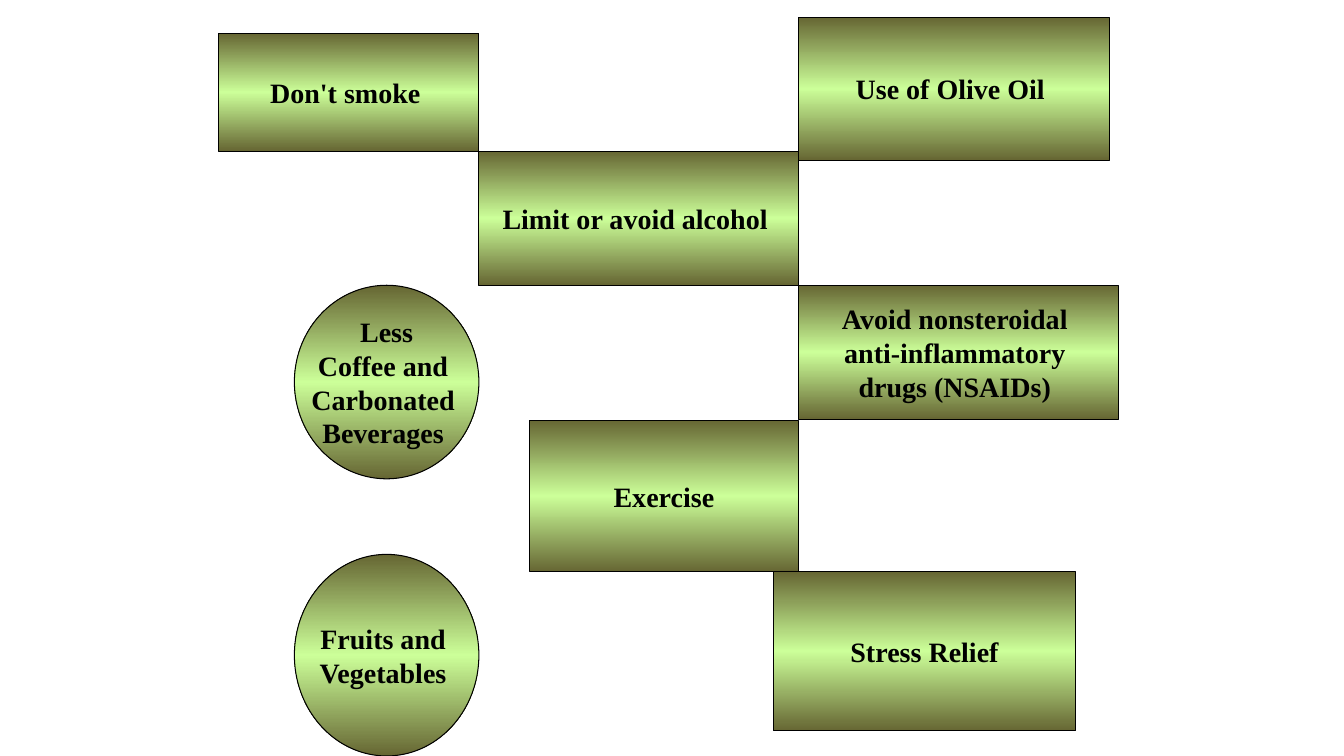
from copy import deepcopy

from pptx import Presentation
from pptx.dml.color import RGBColor
from pptx.enum.shapes import MSO_SHAPE as Shape
from pptx.enum.text import MSO_ANCHOR as Anchor, PP_ALIGN as Align
from pptx.util import Inches, Pt

COLORS = {"edge": "666633", "glow": "CCFF99", "ink": "000000"}
GRADIENT = [(0, "edge"), (0.5, "glow"), (1, "edge")]
FONT = {"name": "Times New Roman", "size": Pt(20), "bold": True}
FRAME = {"word_wrap": False, "vertical_anchor": Anchor.MIDDLE}

TIPS = [
    (Shape.RECTANGLE, (2.17, 0.33, 2.58, 1.17), ["Don't smoke "]),
    (Shape.RECTANGLE, (4.75, 1.5, 3.17, 1.33), ["Limit or avoid alcohol "]),
    (Shape.RECTANGLE, (7.92, 2.83, 3.17, 1.33),
     ["Avoid nonsteroidal ", "anti-inflammatory ", "drugs (NSAIDs) "]),
    (Shape.OVAL, (2.92, 5.5, 1.83, 2), ["Fruits and ", "Vegetables "]),
    (Shape.OVAL, (2.92, 2.83, 1.83, 1.92),
     ["Less", "Coffee and ", "Carbonated ", "Beverages "]),
    (Shape.RECTANGLE, (7.92, 0.17, 3.08, 1.42), ["Use of Olive Oil "]),
    (Shape.RECTANGLE, (5.25, 4.17, 2.67, 1.5), ["Exercise"]),
    (Shape.RECTANGLE, (7.67, 5.67, 3, 1.58), ["Stress Relief"]),
]


def color(name):
    return RGBColor.from_string(COLORS[name])


def apply(target, values):
    for name, value in values.items():
        setattr(target, name, value)


def fill_gradient(shape):
    shape.fill.gradient()
    shape.fill.gradient_angle = 270
    stop_list = shape.element.spPr.xpath("./a:gradFill/a:gsLst")[0]
    stop_list.insert(1, deepcopy(stop_list[0]))
    for stop, (position, name) in zip(shape.fill.gradient_stops, GRADIENT):
        stop.position = position
        stop.color.rgb = color(name)


def write_lines(frame, lines):
    apply(frame, FRAME)
    for index, line in enumerate(lines):
        para = frame.add_paragraph() if index else frame.paragraphs[0]
        para.alignment = Align.CENTER
        span = para.add_run()
        span.text = line
        apply(span.font, FONT)
        span.font.color.rgb = color("ink")


def add_tip(page, kind, place, lines):
    box = page.shapes.add_shape(kind, *map(Inches, place))
    box.shadow.inherit = False
    fill_gradient(box)
    box.line.color.rgb = color("ink")
    box.line.width = Pt(0.75)
    write_lines(box.text_frame, lines)


def main():
    deck = Presentation()
    deck.slide_width, deck.slide_height = Inches(13.33), Inches(7.5)
    page = deck.slides.add_slide(deck.slide_layouts[6])
    for tip in TIPS:
        add_tip(page, *tip)
    deck.save("out.pptx")


if __name__ == "__main__":
    main()
